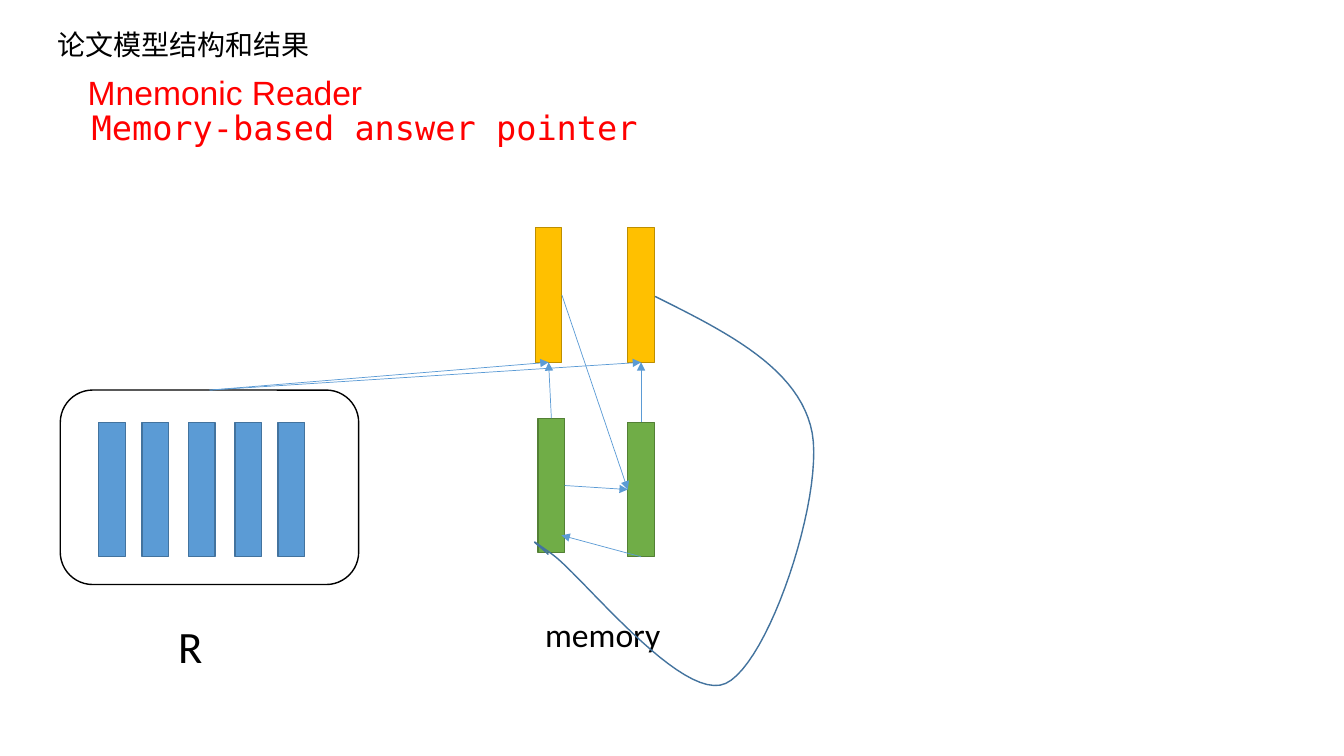
from dataclasses import dataclass

from lxml import etree
from pptx import Presentation
from pptx import util as u
from pptx.dml import color
from pptx.enum import shapes, text
from pptx.oxml import ns


@dataclass(frozen=True)
class Theme:
    ink: str = "000000"
    accent: str = "FF0000"
    arrow: str = "5B9BD5"
    curve: str = "43739E"
    # Bar colours: fill, outline
    word: tuple = ("5B9BD5", "43739E")
    answer: tuple = ("FFC000", "BD8E00")
    memory: tuple = ("70AD47", "538035")
    heading_size: int = 20
    body_size: int = 24
    label_size: int = 32
    chinese: str = "Noto Sans CJK SC"
    latin: str = "Arial"
    mono: str = "DejaVu Sans Mono"
    plain: str = "Calibri"


def rgb(value):
    return color.RGBColor.from_string(value)


def bezier(p0, p1, p2, p3, t):
    """Point at t on a cubic curve."""
    s = 1 - t
    return tuple(s**3 * a + 3 * s * s * t * b + 3 * s * t * t * c + t**3 * d
                 for a, b, c, d in zip(p0, p1, p2, p3))


class Diagram:
    BAR_WIDTH, BAR_HEIGHT = 0.67, 3.39

    def __init__(self, slide, theme):
        self.shapes = slide.shapes
        self.theme = theme

    def text(self, left, top, width, height, words, font, size, ink, wrap=False):
        box = self.shapes.add_textbox(*map(u.Cm, (left, top, width, height)))
        frame = box.text_frame
        frame.word_wrap = wrap
        frame.auto_size = text.MSO_AUTO_SIZE.SHAPE_TO_FIT_TEXT
        run = frame.paragraphs[0].add_run()
        run.text = words
        run.font.name = font
        run.font.size = u.Pt(size)
        run.font.color.rgb = rgb(ink)
        if font == self.theme.chinese:
            etree.SubElement(run.font._element, ns.qn("a:ea"), typeface=font)

    def outline(self, shape, line, fill=None):
        shape.shadow.inherit = False
        if fill:
            shape.fill.solid()
            shape.fill.fore_color.rgb = rgb(fill)
        else:
            shape.fill.background()
        shape.line.color.rgb = rgb(line)
        shape.line.width = u.Pt(1)
        return shape

    def bar(self, left, top, colours):
        fill, line = colours
        bar = self.shapes.add_shape(
            shapes.MSO_SHAPE.RECTANGLE,
            *map(u.Cm, (left, top, self.BAR_WIDTH, self.BAR_HEIGHT)))
        return self.outline(bar, line, fill)

    def frame(self, left, top, width, height):
        frame = self.shapes.add_shape(
            shapes.MSO_SHAPE.ROUNDED_RECTANGLE,
            *map(u.Cm, (left, top, width, height)))
        return self.outline(frame, self.theme.ink)

    def arrow(self, source, source_site, target=None, target_site=None, tip=(0, 0)):
        """Arrow from a shape's site to another shape's site, or to a free tip."""
        x, y = map(u.Cm, tip)
        arrow = self.shapes.add_connector(
            shapes.MSO_CONNECTOR.STRAIGHT, x, y, x, y)
        arrow.begin_connect(source, source_site)
        if target is not None:
            arrow.end_connect(target, target_site)
        arrow.line.color.rgb = rgb(self.theme.arrow)
        arrow.line.width = u.Pt(0.5)
        etree.SubElement(arrow.line._get_or_add_ln(), ns.qn("a:tailEnd"),
                         type="triangle")
        etree.SubElement(arrow._element.spPr, ns.qn("a:effectLst"))

    def curve(self, start, segments, steps=24):
        points, here = [], start
        for first, second, end in segments:
            points += [bezier(here, first, second, end, i / steps)
                       for i in range(1, steps + 1)]
            here = end
        grid = 1000  # path units per centimetre
        builder = self.shapes.build_freeform(
            start[0] * grid, start[1] * grid, scale=u.Cm(1) / grid)
        builder.add_line_segments([(x * grid, y * grid) for x, y in points],
                                  close=False)
        self.outline(builder.convert_to_shape(), self.theme.curve)


def main():
    deck = Presentation()
    deck.slide_width, deck.slide_height = u.Cm(33.87), u.Cm(19.05)
    theme = Theme()
    diagram = Diagram(deck.slides.add_slide(deck.slide_layouts[6]), theme)
    top, left, bottom, right = range(4)  # connection sites of a box

    # Headings
    diagram.text(1.19, 0.56, 6.93, 1.12, "论文模型结构和结果",
                 theme.chinese, theme.heading_size, theme.ink)
    diagram.text(1.96, 1.68, 7.75, 1.27, "Mnemonic Reader",
                 theme.latin, theme.body_size, theme.accent)
    diagram.text(2.06, 2.57, 14.45, 1.27, "Memory-based answer pointer",
                 theme.mono, theme.body_size, theme.accent)

    # Representation R: a row of word vectors
    for word_left in (2.49, 3.58, 4.75, 5.92, 7.01):
        diagram.bar(word_left, 10.64, theme.word)
    representation = diagram.frame(1.52, 9.83, 7.52, 4.9)

    # Answer start and end, each above its memory vector
    answer_start = diagram.bar(13.49, 5.74, theme.answer)
    answer_end = diagram.bar(15.82, 5.74, theme.answer)
    memory_start = diagram.bar(13.56, 10.54, theme.memory)
    memory_end = diagram.bar(15.82, 10.64, theme.memory)
    diagram.text(13.49, 15.34, 3.45, 1.27, "memory",
                 theme.plain, theme.body_size, theme.ink)

    # Inputs of the answers
    for answer, memory in ((answer_start, memory_start), (answer_end, memory_end)):
        diagram.arrow(representation, top, answer, bottom)
        diagram.arrow(memory, top, answer, bottom)

    # Memory updates
    diagram.arrow(answer_start, right, memory_end, left)
    diagram.arrow(memory_start, right, memory_end, left)
    diagram.curve((16.51, 7.47), [
        ((18.34, 8.38), (20.17, 9.3), (20.47, 10.92)),
        ((20.75, 12.55), (19.38, 16.71), (18.29, 17.22)),
        ((17.2, 17.73), (14.66, 14.5), (13.92, 13.97)),
        ((13.18, 13.44), (13.51, 13.69), (13.82, 13.97)),
    ])
    diagram.arrow(memory_end, bottom, tip=(14.15, 13.49))

    diagram.text(4.24, 15.47, 1.7, 1.63, "R",
                 theme.plain, theme.label_size, theme.ink, wrap=True)

    deck.save("out.pptx")


if __name__ == "__main__":
    main()
